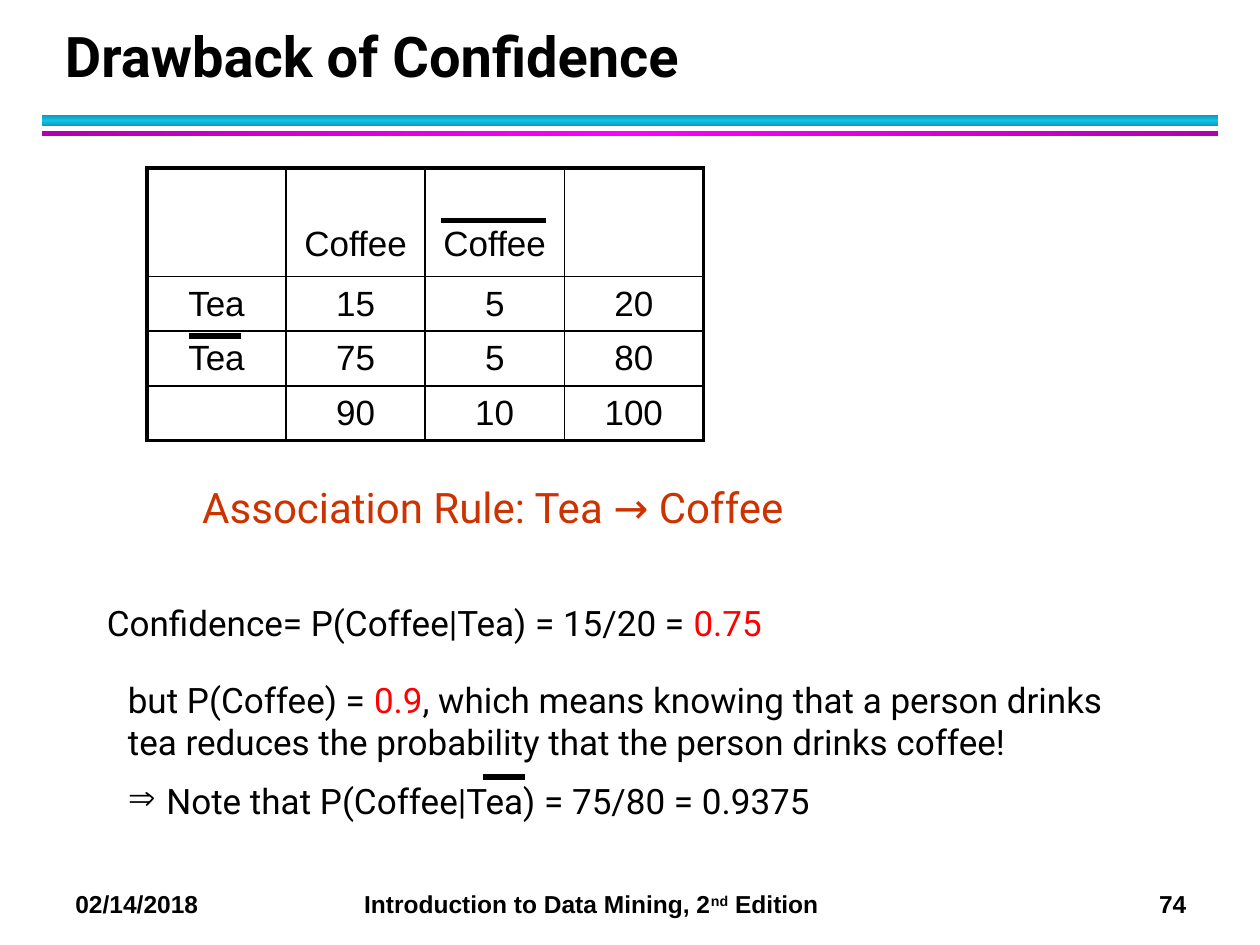
from copy import deepcopy

from lxml.etree import SubElement
from pptx import Presentation
from pptx.dml.color import RGBColor
from pptx.enum.shapes import MSO_CONNECTOR, MSO_SHAPE
from pptx.enum.text import MSO_ANCHOR, PP_ALIGN
from pptx.oxml import parse_xml
from pptx.oxml.ns import nsdecls, qn
from pptx.util import Pt

BLACK = "000000"
RED = "FF0000"
ORANGE = "CC3300"
THIN, THICK = 1, 2.25


def color(hex_string):
    return RGBColor.from_string(hex_string)


class SlideBuilder:
    body_font = "Roboto"
    plain_font = "Arial"
    body_size = 20

    def __init__(self, slide):
        self.slide = slide

    def run(self, paragraph, text, size=None, font=None, fill=BLACK, bold=False, raised=False):
        run = paragraph.add_run()
        run.text = text
        run.font.size = Pt(size or self.body_size)
        run.font.name = font or self.body_font
        run.font.bold = bold
        run.font.color.rgb = color(fill)
        if raised:
            run.font._element.set("baseline", "30000")

    def text_frame(self, left, top, width, height, anchor=MSO_ANCHOR.TOP):
        box = self.slide.shapes.add_textbox(Pt(left), Pt(top), Pt(width), Pt(height))
        frame = box.text_frame
        frame.word_wrap = True
        frame.vertical_anchor = anchor
        return frame

    def indent(self, paragraph, margin, bullet=None):
        """Set the left margin; a bullet hangs in the whole margin."""
        properties = paragraph._p.get_or_add_pPr()
        properties.set("marL", str(Pt(margin)))
        if bullet:
            properties.set("indent", str(Pt(-margin)))
            SubElement(properties, qn("a:buChar")).set("char", bullet)

    def gradient_bar(self, left, top, width, height, edge, middle, angle):
        """Draw a bar that fades from the edge colour to the middle and back."""
        bar = self.slide.shapes.add_shape(
            MSO_SHAPE.RECTANGLE, Pt(left), Pt(top), Pt(width), Pt(height))
        bar.shadow.inherit = False
        bar.line.fill.background()
        bar.fill.gradient()
        bar.fill.gradient_angle = angle
        first_stop = bar._element.spPr.find(".//" + qn("a:gs"))
        middle_stop = deepcopy(first_stop)
        first_stop.addnext(middle_stop)
        for stop, position, shade in zip(
                bar.fill.gradient_stops, (0, 0.5, 1), (edge, middle, edge)):
            stop.position = position
            stop.color.rgb = color(shade)

    def overline(self, left, top, width):
        line = self.slide.shapes.add_connector(
            MSO_CONNECTOR.STRAIGHT, Pt(left), Pt(top), Pt(left + width), Pt(top))
        line.line.color.rgb = color(BLACK)
        line.line.width = Pt(3)
        SubElement(line._element.spPr, qn("a:effectLst"))

    def borders(self, cell, widths):
        """Set the left, right, top and bottom border widths."""
        properties = cell._tc.get_or_add_tcPr()
        for index, (side, width) in enumerate(zip("LRTB", widths)):
            properties.insert(index, parse_xml(
                f'<a:ln{side} {nsdecls("a")} w="{Pt(width)}"><a:solidFill>'
                f'<a:srgbClr val="{BLACK}"/></a:solidFill></a:ln{side}>'))

    def table(self, left, top, column_width, row_heights, rows):
        row_count, column_count = len(rows), len(rows[0])
        table = self.slide.shapes.add_table(
            row_count, column_count, Pt(left), Pt(top),
            Pt(column_width * column_count), Pt(sum(row_heights))).table
        table.first_row = table.horz_banding = False
        for column in table.columns:
            column.width = Pt(column_width)
        for row_index, values in enumerate(rows):
            table.rows[row_index].height = Pt(row_heights[row_index])
            for column_index, value in enumerate(values):
                cell = table.cell(row_index, column_index)
                cell.fill.background()
                cell.vertical_anchor = MSO_ANCHOR.MIDDLE
                if row_index == 0:
                    cell.vertical_anchor = MSO_ANCHOR.BOTTOM
                    cell.margin_bottom = Pt(7.2)
                outer = (column_index == 0, column_index == column_count - 1,
                         row_index == 0, row_index == row_count - 1)
                self.borders(cell, [THICK if edge else THIN for edge in outer])
                if value:
                    paragraph = cell.text_frame.paragraphs[0]
                    paragraph.alignment = PP_ALIGN.CENTER
                    self.run(paragraph, value, font=self.plain_font)

    def footer(self, left, width, parts, alignment=PP_ALIGN.LEFT):
        """Write footer parts, each a text and whether it is raised."""
        paragraph = self.text_frame(left, 504.5, width, 24.5).paragraphs[0]
        paragraph.alignment = alignment
        for text, raised in parts:
            self.run(paragraph, text, 14, self.plain_font, bold=True, raised=raised)


def main():
    presentation = Presentation()
    presentation.slide_width, presentation.slide_height = Pt(720), Pt(540)
    builder = SlideBuilder(presentation.slides.add_slide(presentation.slide_layouts[6]))

    builder.gradient_bar(24, 66, 672, 6, "0E9BBA", "12C2E9", 90)
    builder.gradient_bar(24, 75, 672, 3, "B200B2", "FF00FF", 0)

    builder.footer(36, 150, [("02/14/2018", False)])
    builder.footer(201, 320, [("Introduction to Data Mining, 2", False), ("nd", True),
                              (" Edition", False)])
    builder.footer(605, 80, [("74", False)], PP_ALIGN.RIGHT)

    title = builder.text_frame(30, 12, 652, 42, MSO_ANCHOR.BOTTOM).paragraphs[0]
    title.line_spacing = Pt(36)
    builder.run(title, "Drawback of Confidence", 32, bold=True)

    builder.table(84, 96, 79.5, [62, 31.1, 31.1, 31.1], [
        ["", "Coffee", "Coffee", ""],
        ["Tea", "15", "5", "20"],
        ["Tea", "75", "5", "80"],
        ["", "90", "10", "100"],
    ])
    builder.overline(252, 126, 60)
    builder.overline(108, 192, 30)

    rule_frame = builder.text_frame(54, 271.5, 582, 101)
    rule = rule_frame.paragraphs[0]
    builder.indent(rule, 54.5)
    builder.run(rule, "Association Rule: Tea → Coffee", 24, fill=ORANGE)
    confidence = rule_frame.add_paragraph()
    confidence.space_before = Pt(40)
    builder.run(confidence, "Confidence= P(Coffee|Tea) = 15/20 = ")
    builder.run(confidence, "0.75", fill=RED)

    builder.overline(276, 444, 24)
    note_frame = builder.text_frame(66, 384, 582, 91.5)
    drawback = note_frame.paragraphs[0]
    builder.run(drawback, "but P(Coffee) = ")
    builder.run(drawback, "0.9", fill=RED)
    builder.run(drawback, ", which means knowing that a person drinks tea reduces "
                          "the probability that the person drinks coffee!")
    note = note_frame.add_paragraph()
    note.space_before = Pt(10)
    builder.indent(note, 22, "⇒")
    builder.run(note, "Note that P(Coffee|Tea) = 75/80 = 0.9375")

    presentation.save("out.pptx")


if __name__ == "__main__":
    main()
